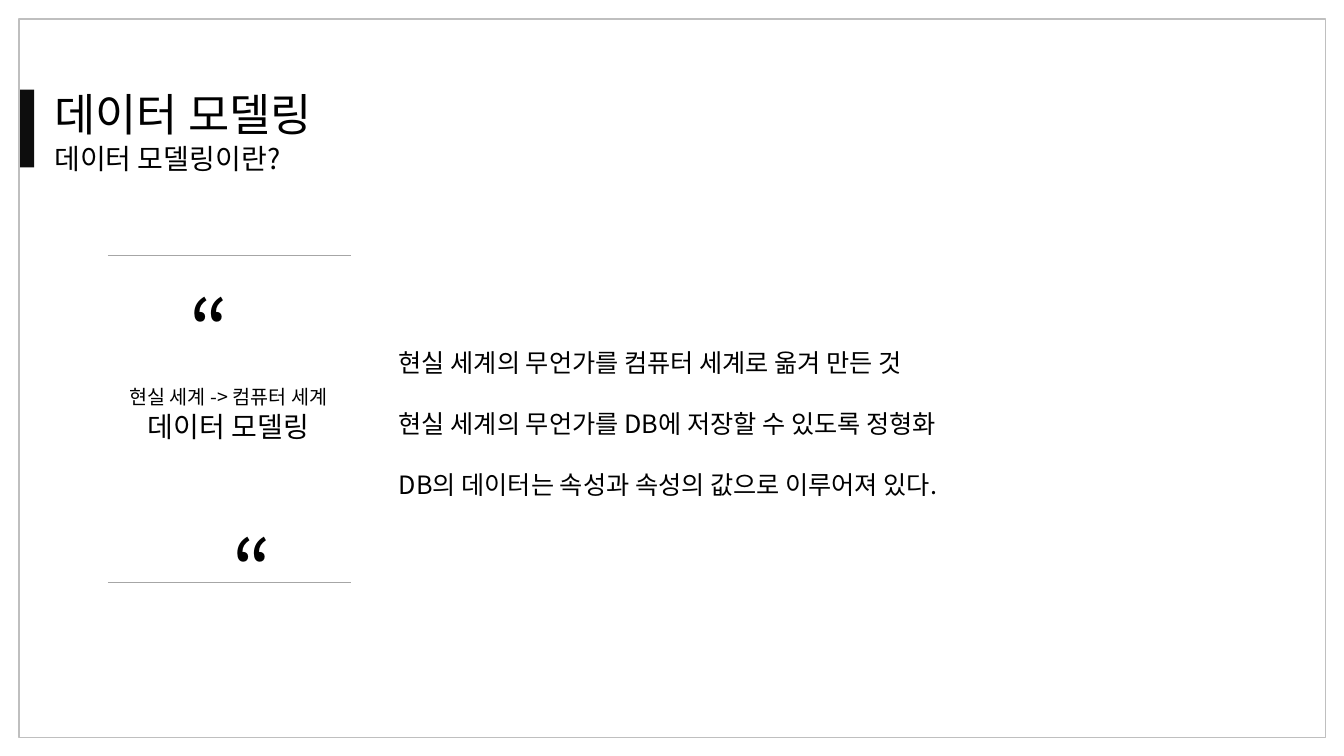
from lxml import etree
from pptx import Presentation
from pptx import util as u
from pptx.dml.color import RGBColor
from pptx.enum import shapes, text
from pptx.oxml.ns import qn

FONT = "Noto Sans CJK KR"
LINE_HEIGHT = 1.21


def color(hex_code):
    return RGBColor.from_string(hex_code)


def add_text(paragraph, words, size=18, ink="000000", outline="595959", alpha=30,
             align=text.PP_ALIGN.LEFT, before=0):
    """Fill a paragraph with one formatted run."""
    paragraph.alignment = align
    paragraph.line_spacing = u.Pt(round(size * LINE_HEIGHT, 1))
    paragraph.space_before = u.Pt(before)
    run = paragraph.add_run()
    run.text = words
    run.font.size = u.Pt(size)
    run.font.color.rgb = color(ink)
    run.font.name = FONT
    props = run.font._element
    etree.SubElement(props, qn("a:ea")).set("typeface", FONT)
    # Thin translucent outline around the letters
    line = etree.Element(qn("a:ln"), w=str(u.Pt(0.75)))
    fill = etree.SubElement(line, qn("a:solidFill"))
    tint = etree.SubElement(fill, qn("a:srgbClr"), val=outline)
    etree.SubElement(tint, qn("a:alpha"), val=str(alpha * 1000))
    props.insert(0, line)


class Page:
    """Current slide and its drawing style."""

    def __init__(self, slide):
        self.shapes = slide.shapes

    def rect(self, left, top, width, height, fill=None, line=None):
        box = self.shapes.add_shape(shapes.MSO_SHAPE.RECTANGLE, u.Cm(left), u.Cm(top),
                                    u.Cm(width), u.Cm(height))
        box.shadow.inherit = False
        if fill:
            box.fill.solid()
            box.fill.fore_color.rgb = color(fill)
        else:
            box.fill.background()
        if line:
            box.line.color.rgb = color(line)
            box.line.width = u.Pt(1)
        else:
            box.line.fill.background()

    def rule(self, left, right, y):
        line = self.shapes.add_connector(shapes.MSO_CONNECTOR.STRAIGHT, u.Cm(left), u.Cm(y),
                                         u.Cm(right), u.Cm(y))
        line.line.color.rgb = color("A6A6A6")
        line.line.width = u.Pt(0.75)
        etree.SubElement(line._element.spPr, qn("a:effectLst"))

    def textbox(self, left, top, width, height, lines, anchor=text.MSO_ANCHOR.TOP, **style):
        """Each line is a pair of words and size."""
        frame = self.shapes.add_textbox(u.Cm(left), u.Cm(top), u.Cm(width),
                                        u.Cm(height)).text_frame
        frame.word_wrap = True
        frame.vertical_anchor = anchor
        for index, (words, size) in enumerate(lines):
            paragraph = frame.add_paragraph() if index else frame.paragraphs[0]
            add_text(paragraph, words, size=size, **style)


def main():
    deck = Presentation()
    deck.slide_width, deck.slide_height = u.Cm(33.87), u.Cm(19.05)
    page = Page(deck.slides.add_slide(deck.slide_layouts[6]))
    center = text.PP_ALIGN.CENTER

    # Heading and page frame
    page.rect(0.48, 2.26, 0.38, 1.96, fill="0D0D0D")
    page.textbox(1.12, 2.06, 13.49, 2.49,
                 [("데이터 모델링", 32), ("데이터 모델링이란?", 20)],
                 outline="000000", alpha=50)
    page.rect(0.48, 0.48, 32.92, 18.11, line="BFBFBF")

    # Quoted key phrase between two rules
    for rule_y in (6.43, 14.68):
        page.rule(2.72, 8.84, rule_y)
    for quote_left, quote_top in ((-0.2, 6.87), (0.89, 12.91)):
        page.textbox(quote_left, quote_top, 10.95, 2.82, [("“", 60)], align=center)
    page.textbox(1.73, 9.58, 8.05, 1.7,
                 [("현실 세계 -> 컴퓨터 세계", 14), ("데이터 모델링", 20)], align=center)

    # Explanation
    explanation = ("현실 세계의 무언가를 컴퓨터 세계로 옮겨 만든 것",
                   "현실 세계의 무언가를 DB에 저장할 수 있도록 정형화",
                   "DB의 데이터는 속성과 속성의 값으로 이루어져 있다.")
    page.textbox(9.8, 7.08, 23.6, 5.64, [(sentence, 18) for sentence in explanation],
                 anchor=text.MSO_ANCHOR.BOTTOM, before=21.8)

    deck.save("out.pptx")


if __name__ == "__main__":
    main()
